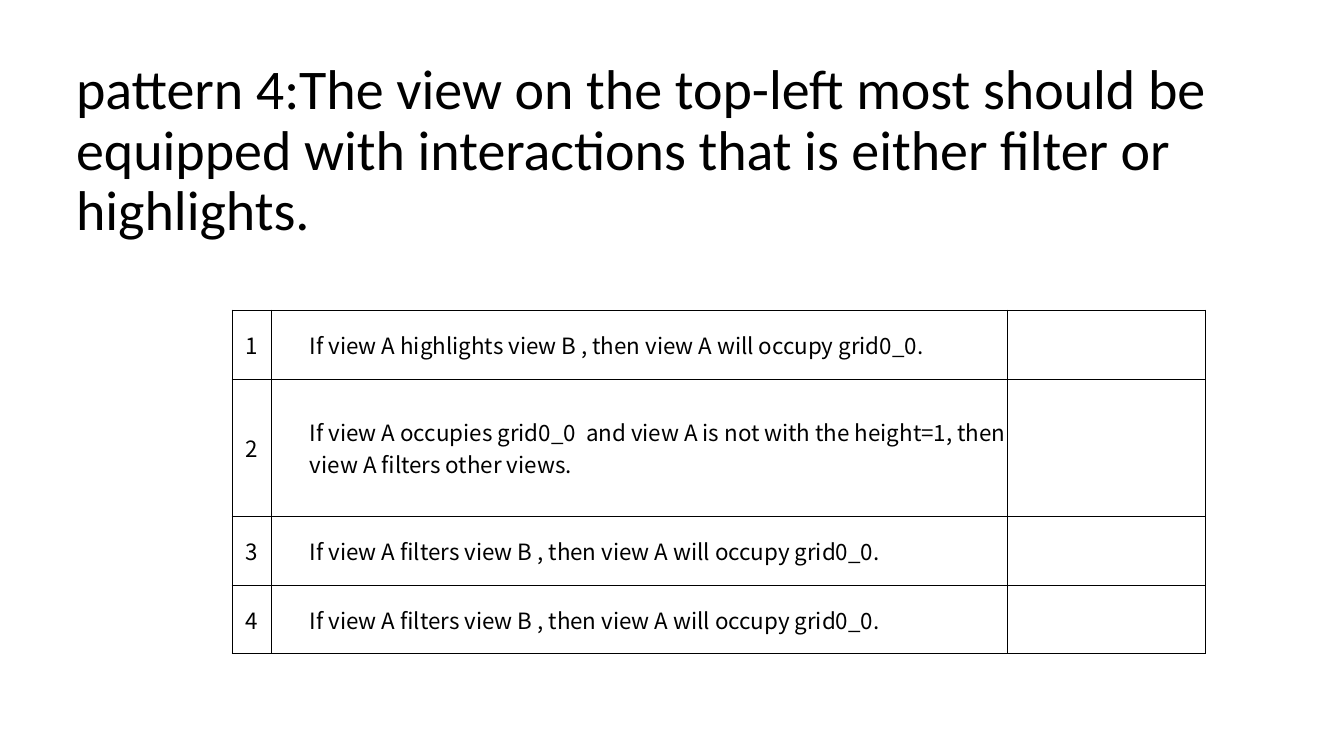
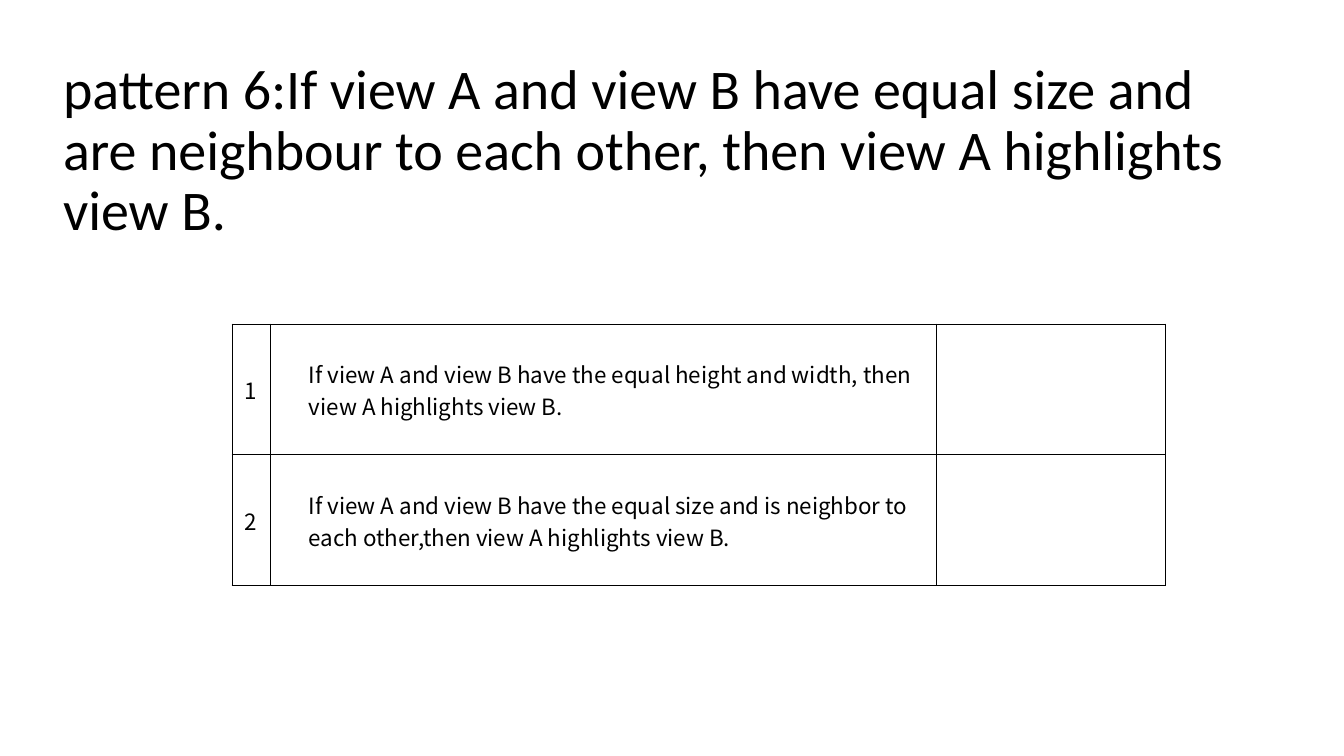
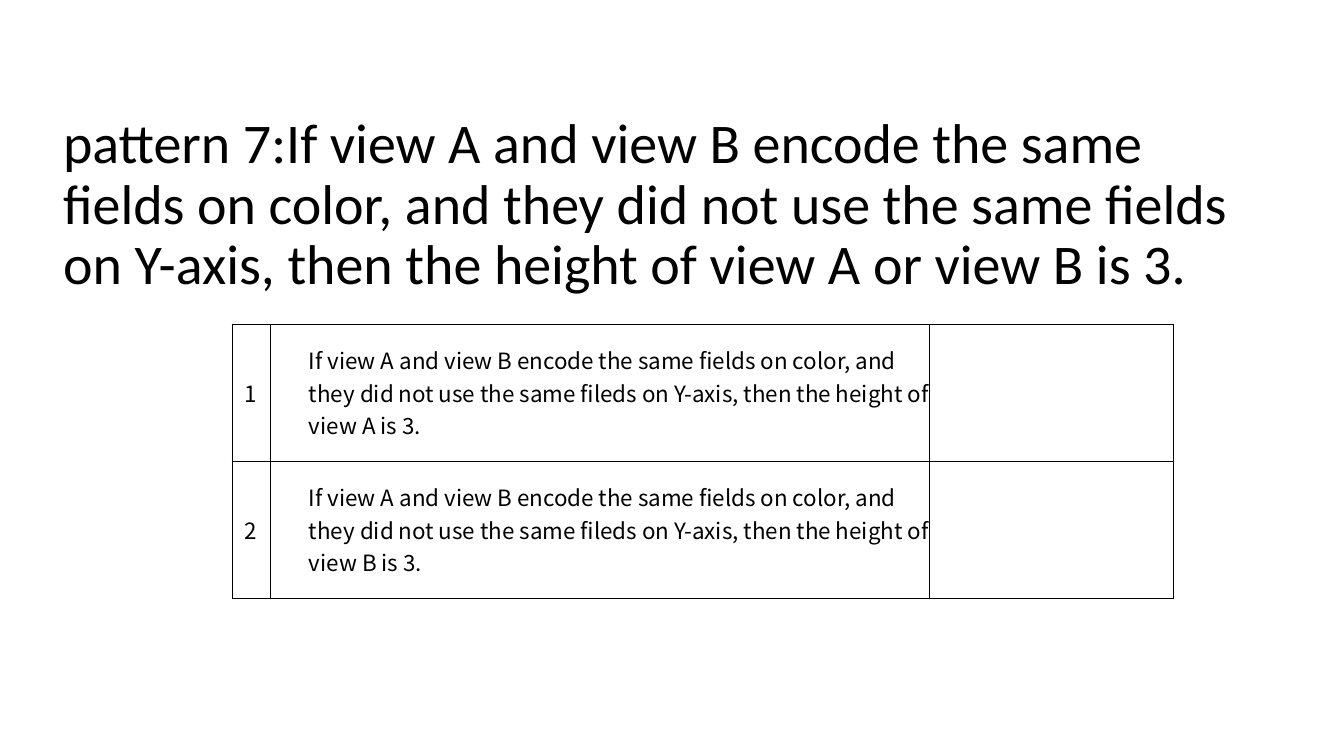
"""Build three slides that each state a layout pattern and list its rules."""
import pptx
import pptx.dml.color
import pptx.enum.text
import pptx.oxml
import pptx.oxml.ns
import pptx.util

BLACK = pptx.dml.color.RGBColor(0x00, 0x00, 0x00)
SCALE = 914400 / 100.8
LEFT = 232
INDENT = 39
ALIGN = pptx.enum.text.PP_ALIGN
ANCHOR = pptx.enum.text.MSO_ANCHOR
HEAD = {"name": "Calibri", "size": pptx.util.Pt(40), "bold": False}
BODY = {"name": "Noto Sans CJK SC", "size": pptx.util.Pt(16), "bold": False}
FRAME = {"word_wrap": True, "vertical_anchor": ANCHOR.BOTTOM,
         "auto_size": pptx.enum.text.MSO_AUTO_SIZE.NONE}
CELL = {"margin_left": 0, "margin_right": 0, "margin_top": 0,
        "margin_bottom": 0, "vertical_anchor": ANCHOR.MIDDLE}
PLAIN = {"first_row": False, "horz_banding": False}

ENCODE = ("If view A and view B encode the same fields on color, and they did "
          "not use the same fileds on Y-axis, then the height of view {} is 3.")
FILTER = "If view A filters view B , then view A will occupy grid0_0."

SLIDES = [
    {"title": "pattern 4:The view on the top-left most should be equipped with "
              "interactions that is either filter or highlights.",
     "spot": (66, 86), "top": 310,
     "cols": (39, 736, 199), "rows": (69, 137, 69, 69),
     "rules": ("If view A highlights view B , then view A will occupy grid0_0.",
               "If view A occupies grid0_0  and view A is not with the "
               "height=1, then view A filters other views.",
               FILTER, FILTER)},
    {"title": "pattern 6:If view A and view B have equal size and are neighbour "
              "to each other, then view A highlights view B.",
     "spot": (53, 86), "top": 324,
     "cols": (38, 667, 229), "rows": (131, 131),
     "rules": ("If view A and view B have the equal height and width, then "
               "view A highlights view B.",
               "If view A and view B have the equal size and is neighbor to "
               "each other,then view A highlights view B.")},
    {"title": "pattern 7:If view A and view B encode the same fields on color, "
              "and they did not use the same fields on Y-axis, then the height "
              "of view A or view B is 3.",
     "spot": (53, 140), "top": 324,
     "cols": (38, 660, 244), "rows": (137, 137),
     "rules": (ENCODE.format("A"), ENCODE.format("B"))},
]


def px(count):
    """Turn pixels into EMU."""
    return pptx.util.Emu(round(count * SCALE))


def apply(item, style):
    """Set every attribute named in a style."""
    for name, value in style.items():
        setattr(item, name, value)


def write(frame, text, font, align):
    """Put one styled paragraph in a text frame and return it."""
    para = frame.paragraphs[0]
    para.alignment = align
    run = para.add_run()
    run.text = text
    apply(run.font, font)
    run.font.color.rgb = BLACK
    return para


def add_title(slide, text, spot):
    """Place the title and fill it."""
    title = slide.shapes.title
    left, top = spot
    apply(title, {"left": px(left), "top": px(top),
                  "width": px(1213), "height": px(162)})
    apply(title.text_frame, FRAME)
    write(title.text_frame, text, HEAD, ALIGN.LEFT).line_spacing = 0.9


def rule_cell(cell):
    """Give a cell thin borders, no fill and no margins."""
    props = cell._tc.get_or_add_tcPr()
    for side in "LRTB":
        props.append(pptx.oxml.parse_xml(
            f'<a:ln{side} {pptx.oxml.ns.nsdecls("a")} w="{pptx.util.Pt(0.75)}">'
            f'<a:solidFill><a:srgbClr val="{BLACK}"/></a:solidFill>'
            f'</a:ln{side}>'))
    cell.fill.background()
    apply(cell, CELL)


def add_rules(slide, top, cols, rows, rules):
    """Add the numbered table of rules with its empty last column."""
    table = slide.shapes.add_table(
        len(rows), len(cols), px(LEFT), px(top),
        px(sum(cols)), px(sum(rows))).table
    apply(table, PLAIN)
    for col, width in zip(table.columns, cols):
        col.width = px(width)
    for row, height in zip(table.rows, rows):
        row.height = px(height)
    for cell in table.iter_cells():
        rule_cell(cell)
    for index, rule in enumerate(rules):
        write(table.cell(index, 0).text_frame, str(index + 1), BODY, ALIGN.CENTER)
        para = write(table.cell(index, 1).text_frame, rule, BODY, ALIGN.LEFT)
        para._p.get_or_add_pPr().set("marL", str(px(INDENT)))


def main():
    """Build and save the slides."""
    deck = pptx.Presentation()
    apply(deck, {"slide_width": px(1344), "slide_height": px(756)})
    for page in SLIDES:
        slide = deck.slides.add_slide(deck.slide_layouts[5])
        add_title(slide, page["title"], page["spot"])
        add_rules(slide, page["top"], page["cols"], page["rows"], page["rules"])
    deck.save("out.pptx")


main()
